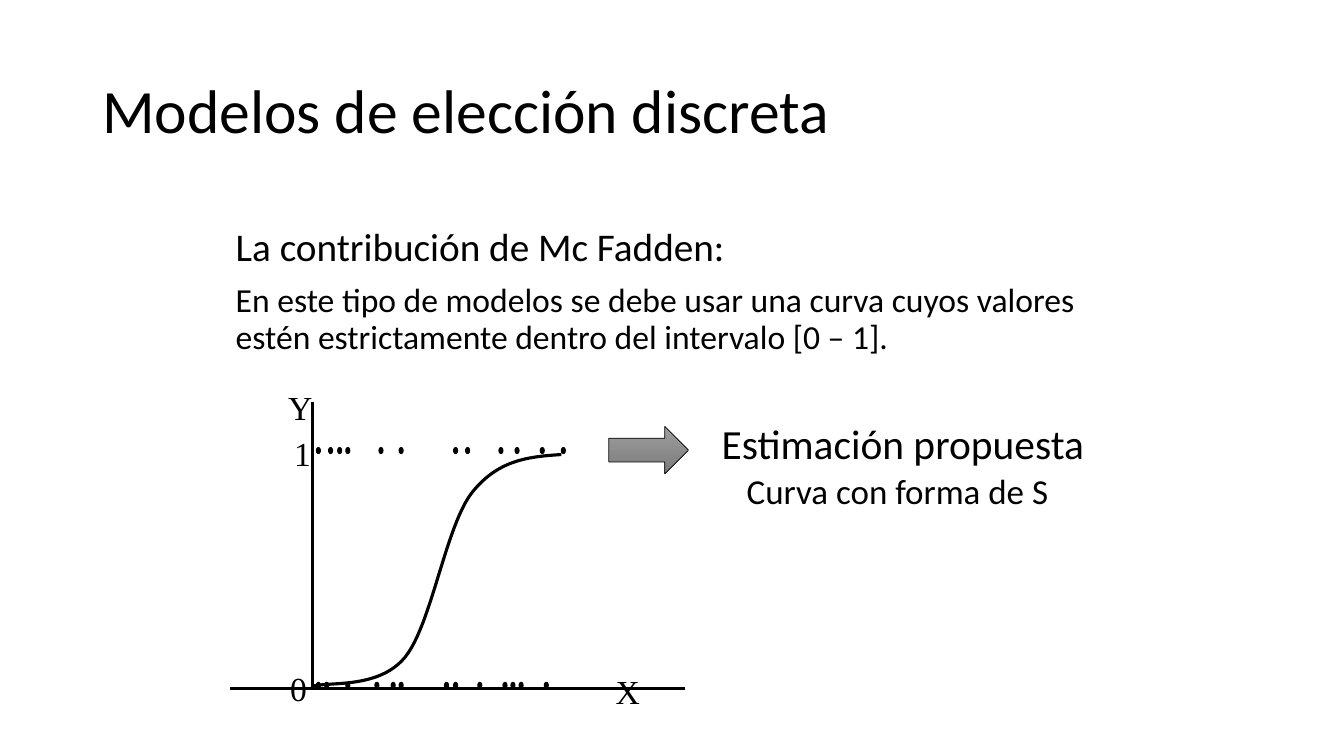
from dataclasses import dataclass

from lxml.etree import SubElement
from pptx import Presentation
from pptx.dml.color import RGBColor
from pptx.enum.shapes import MSO_CONNECTOR, MSO_SHAPE
from pptx.enum.text import MSO_ANCHOR
from pptx.oxml.ns import qn
from pptx.slide import Slide
from pptx.util import Pt


@dataclass(frozen=True)
class Theme:
    ink: RGBColor = RGBColor(0, 0, 0)
    arrow_top: RGBColor = RGBColor(0x9D, 0x9D, 0x9D)
    arrow_bottom: RGBColor = RGBColor(0x7C, 0x7C, 0x7C)
    body_font: str = "Calibri"
    axis_font: str = "Times New Roman"
    title_size: float = 44
    lead_size: float = 28
    body_size: float = 24
    proposal_size: float = 29.6
    shape_note_size: float = 25
    curve_width: float = 2.25
    dot_outline: float = 0.75
    arrow_outline: float = 0.5


@dataclass(frozen=True)
class Box:
    left: float
    top: float
    width: float
    height: float

    def lengths(self) -> tuple[Pt, Pt, Pt, Pt]:
        return Pt(self.left), Pt(self.top), Pt(self.width), Pt(self.height)


@dataclass(frozen=True)
class Line:
    text: str
    size: float


@dataclass(frozen=True)
class AxisLabel:
    text: str
    box: Box


@dataclass(frozen=True)
class Observations:
    top: float
    lefts: tuple[float, ...]


Point = tuple[float, float]
THEME = Theme()

# Graph geometry
ORIGIN_X, AXIS_Y = 223.2, 492
AXES: tuple[tuple[Point, Point], ...] = (
    ((ORIGIN_X, 287.3), (ORIGIN_X, AXIS_Y)),
    ((164.2, AXIS_Y), (489.4, AXIS_Y)),
)
DOT_WIDTH, DOT_HEIGHT = 2.9, 4.3
OBSERVATIONS = (
    Observations(487.4, (226, 231.9, 247, 267.8, 279.4, 285.1, 317.5, 324,
                         341.3, 359.3, 365, 370.8, 388.8)),
    Observations(319.7, (226, 234.7, 241.2, 247, 270.7, 285.1, 324, 332.6,
                         356.4, 367.9, 385.9, 401)),
)
AXIS_LABELS = (
    AxisLabel("0", Box(200.2, 473.8, 26.6, 36)),
    AxisLabel("X", Box(432.7, 475.9, 32.4, 36)),
    AxisLabel("Y", Box(198.7, 272.9, 32.4, 36)),
    AxisLabel("1", Box(203, 306, 26.6, 36)),
)
S_CURVE_START: Point = (223.2, 490.3)
S_CURVE: tuple[tuple[Point, Point, Point], ...] = (
    ((234, 486.7), (270.7, 492.5), (289.4, 469.4)),
    ((308.2, 446.4), (318.2, 376.6), (337, 352.1)),
    ((355.7, 328.3), (378, 326.2), (401, 324.7)),
)
CURVE_STEPS = 24


def add_text(slide: Slide, box: Box, *lines: Line, font: str = THEME.body_font,
             wrap: bool = True, anchor: MSO_ANCHOR = MSO_ANCHOR.TOP,
             line_spacing: float = 1, space_before: float = 0) -> None:
    frame = slide.shapes.add_textbox(*box.lengths()).text_frame
    frame.word_wrap = wrap
    frame.vertical_anchor = anchor
    for index, line in enumerate(lines):
        paragraph = frame.add_paragraph() if index else frame.paragraphs[0]
        paragraph.text = line.text
        paragraph.line_spacing = line_spacing
        paragraph.space_before = Pt(space_before if index else 0)
        paragraph.font.name = font
        paragraph.font.size = Pt(line.size)
        paragraph.font.color.rgb = THEME.ink


def add_axis(slide: Slide, start: Point, end: Point) -> None:
    axis = slide.shapes.add_connector(
        MSO_CONNECTOR.STRAIGHT, *(Pt(value) for value in start + end))
    axis.line.color.rgb = THEME.ink
    axis.line.width = Pt(THEME.curve_width)
    SubElement(axis._element.spPr, qn("a:effectLst"))


def add_dot(slide: Slide, left: float, top: float) -> None:
    dot = slide.shapes.add_shape(
        MSO_SHAPE.OVAL, *Box(left, top, DOT_WIDTH, DOT_HEIGHT).lengths())
    dot.shadow.inherit = False
    dot.fill.solid()
    dot.fill.fore_color.rgb = THEME.ink
    dot.line.color.rgb = THEME.ink
    dot.line.width = Pt(THEME.dot_outline)


def bezier_point(corners: tuple[Point, ...], t: float) -> Point:
    weights = ((1 - t) ** 3, 3 * t * (1 - t) ** 2, 3 * t ** 2 * (1 - t), t ** 3)
    x, y = (sum(w * c[axis] for w, c in zip(weights, corners)) for axis in (0, 1))
    return x, y


def add_s_curve(slide: Slide) -> None:
    points = []
    start = S_CURVE_START
    for segment in S_CURVE:
        points += [bezier_point((start, *segment), step / CURVE_STEPS)
                   for step in range(1, CURVE_STEPS + 1)]
        start = segment[-1]
    builder = slide.shapes.build_freeform(*(Pt(value) for value in S_CURVE_START))
    builder.add_line_segments([(Pt(x), Pt(y)) for x, y in points], close=False)
    curve = builder.convert_to_shape()
    curve.shadow.inherit = False
    curve.fill.background()
    curve.line.color.rgb = THEME.ink
    curve.line.width = Pt(THEME.curve_width)


def add_arrow(slide: Slide, box: Box) -> None:
    arrow = slide.shapes.add_shape(MSO_SHAPE.RIGHT_ARROW, *box.lengths())
    arrow.shadow.inherit = False
    arrow.fill.gradient()
    arrow.fill.gradient_angle = 270
    for stop, color in zip(arrow.fill.gradient_stops,
                           (THEME.arrow_top, THEME.arrow_bottom)):
        stop.color.rgb = color
    arrow.line.color.rgb = THEME.ink
    arrow.line.width = Pt(THEME.arrow_outline)


def main() -> None:
    presentation = Presentation()
    presentation.slide_width, presentation.slide_height = Pt(960), Pt(540)
    slide = presentation.slides.add_slide(presentation.slide_layouts[6])

    # Title and introduction
    add_text(slide, Box(66, 28.8, 828, 104.4),
             Line("Modelos de elección discreta", THEME.title_size),
             anchor=MSO_ANCHOR.MIDDLE, line_spacing=0.9)
    add_text(slide, Box(161.3, 159, 648, 116),
             Line("La contribución de Mc Fadden:", THEME.lead_size),
             Line("En este tipo de modelos se debe usar una curva cuyos valores "
                  "estén estrictamente dentro del intervalo [0 – 1].",
                  THEME.body_size),
             line_spacing=0.9, space_before=10)

    # Graph: axes, observations, labels and curve
    for start, end in AXES:
        add_axis(slide, start, end)
    for row in OBSERVATIONS:
        for left in row.lefts:
            add_dot(slide, left, row.top)
    for label in AXIS_LABELS:
        add_text(slide, label.box, Line(label.text, THEME.body_size),
                 font=THEME.axis_font, wrap=False)
    add_s_curve(slide)

    # Proposed estimation
    add_text(slide, Box(508.3, 295.2, 289.4, 41),
             Line("Estimación propuesta", THEME.proposal_size))
    add_arrow(slide, Box(434.9, 304.6, 56.9, 33.8))
    add_text(slide, Box(526.3, 331.9, 313.9, 109.4),
             Line("Curva con forma de S", THEME.shape_note_size))

    presentation.save("out.pptx")


if __name__ == "__main__":
    main()
